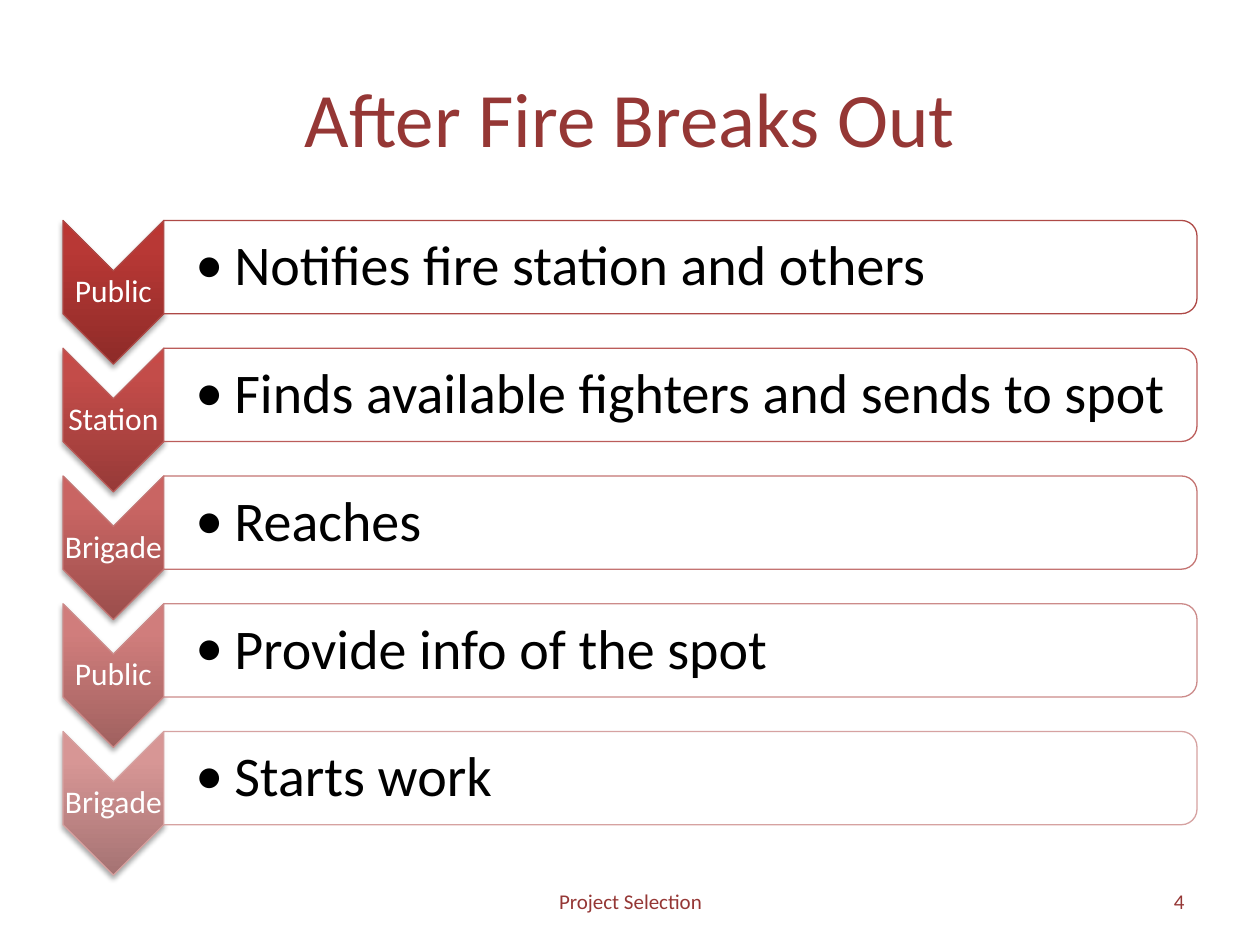
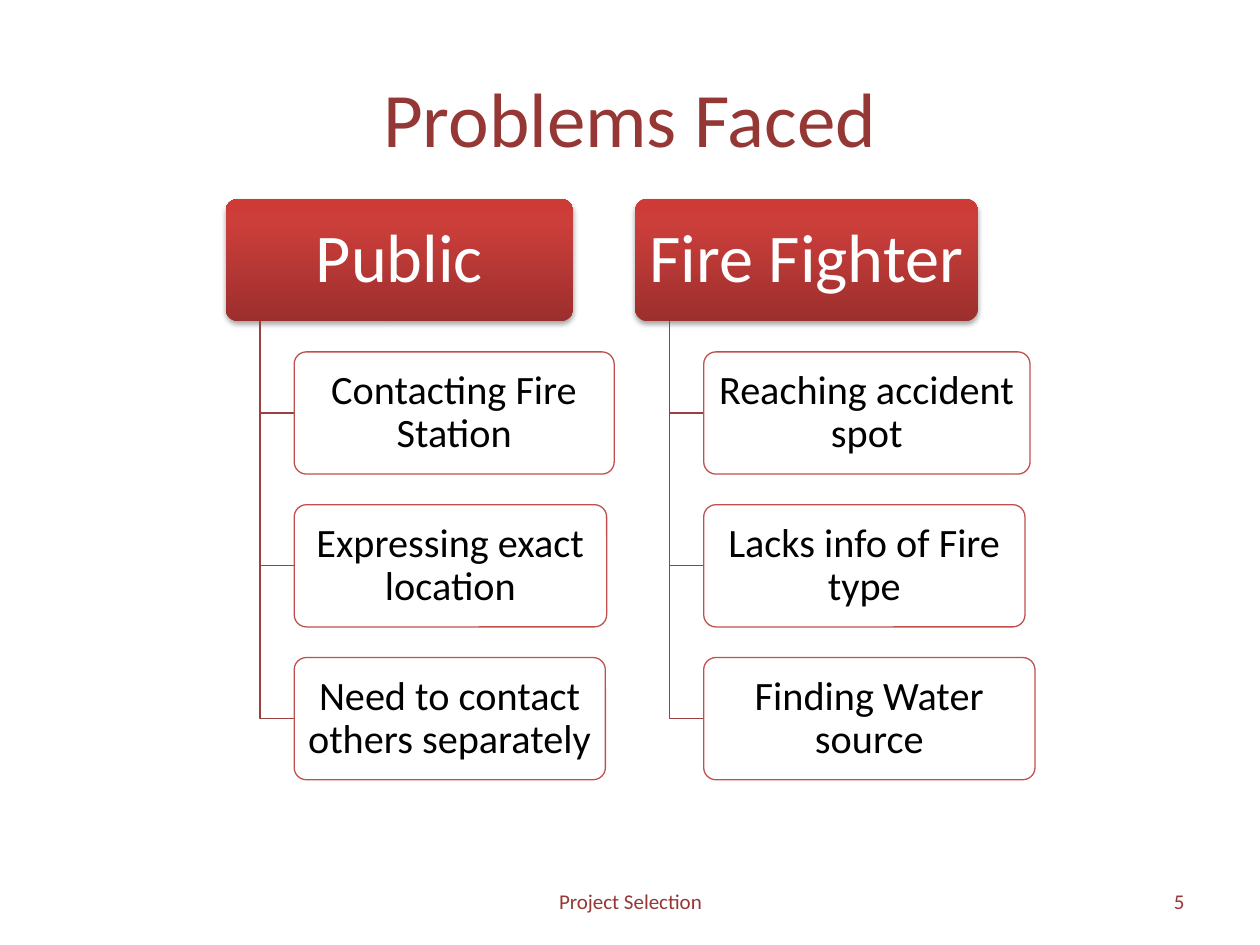
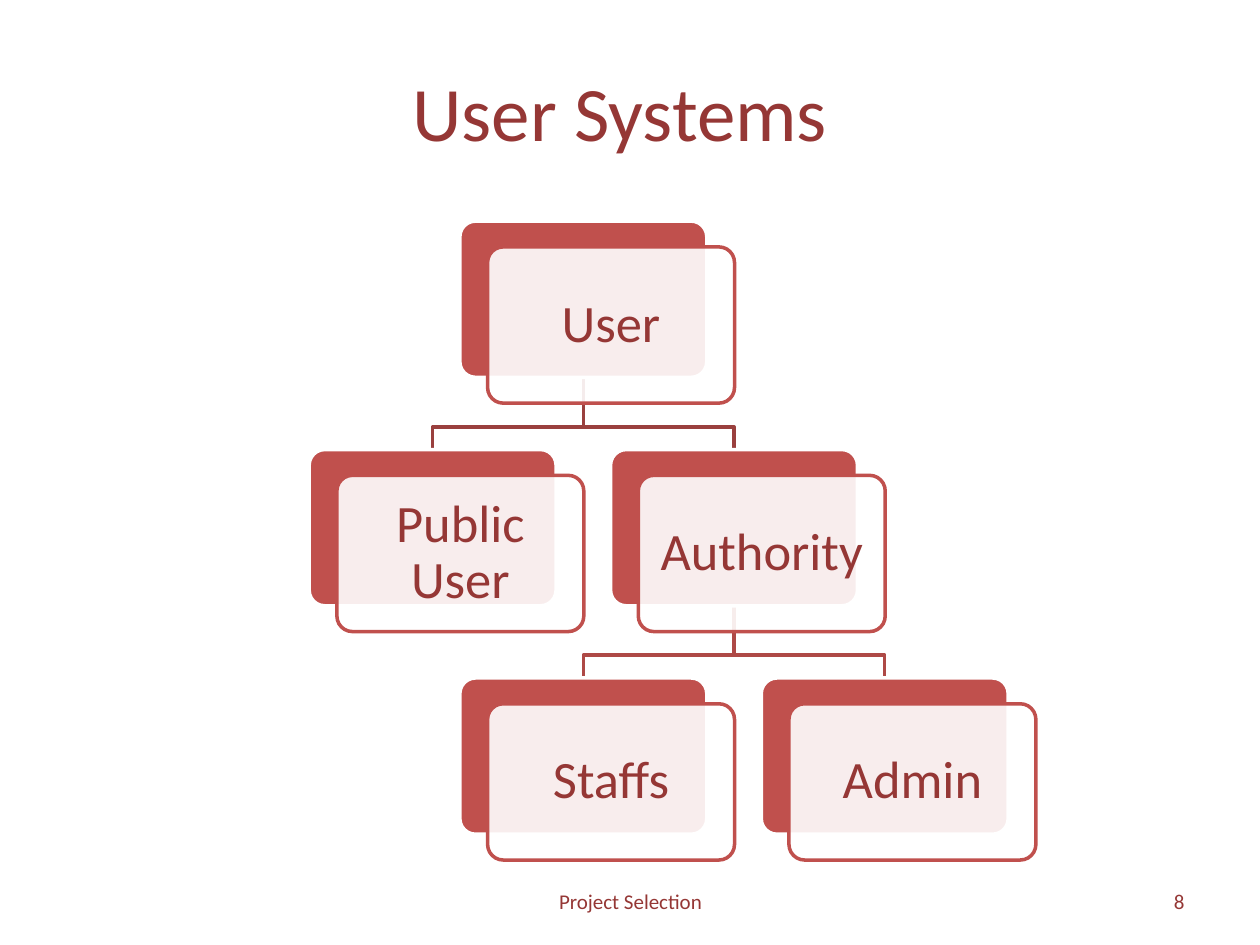
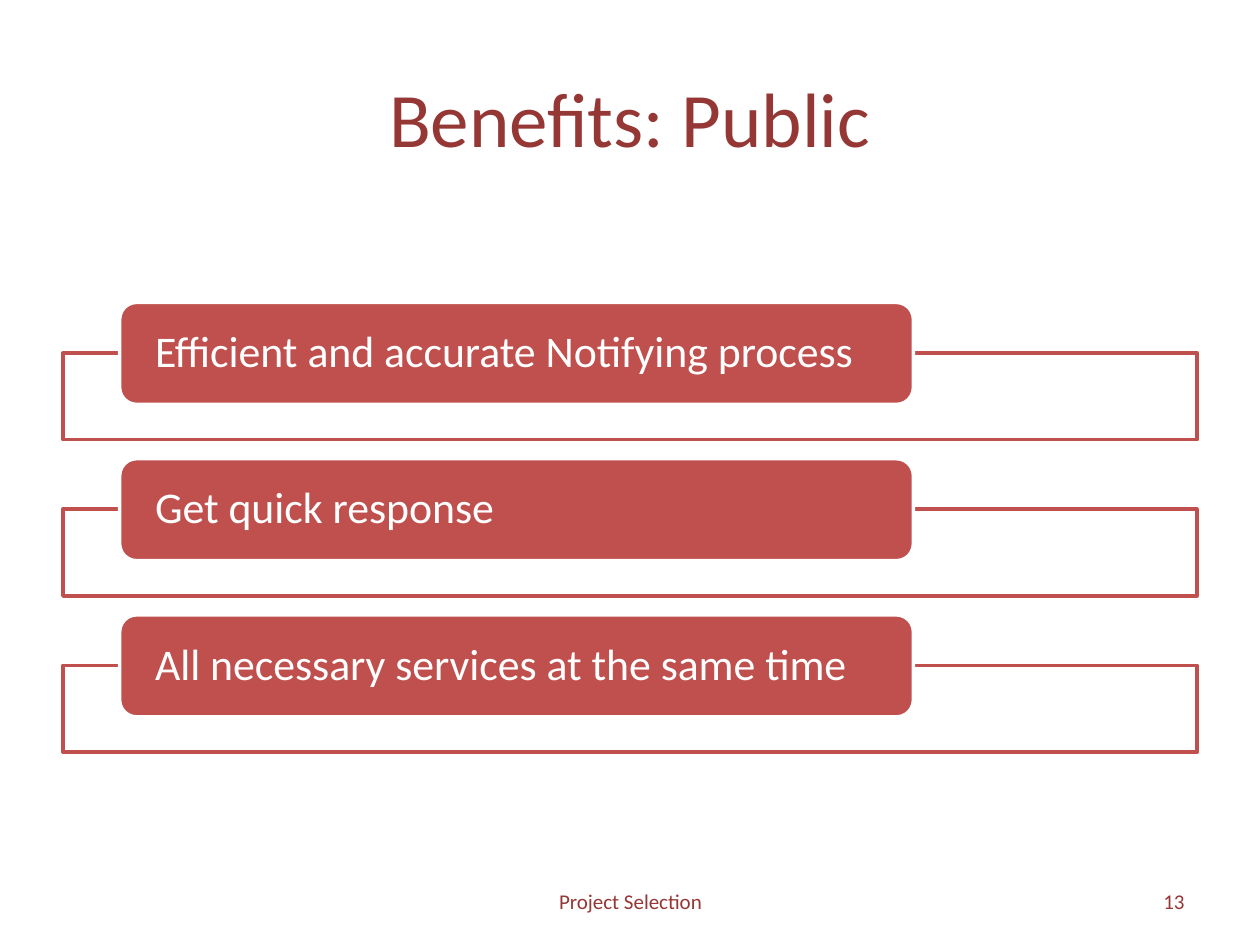
import pptx
import pptx.dml.color
import pptx.enum.shapes
import pptx.enum.text
import pptx.oxml
import pptx.oxml.ns
import pptx.util
from lxml import etree

SHAPE = pptx.enum.shapes.MSO_SHAPE
ALIGN = pptx.enum.text.PP_ALIGN
MIDDLE = pptx.enum.text.MSO_ANCHOR.MIDDLE
qn = pptx.oxml.ns.qn

# The slide is a grid of square cells; every length below counts cells.
COLUMNS, ROWS = 10, 7.5
CELL = pptx.util.Inches(1)

FONT = "Calibri"
DARK_RED = "953735"
RED = "C0504D"
LINK_RED = "9A403E"
LINK_RED_DEEP = "AE4946"
WHITE = "FFFFFF"
BLACK = "000000"
HEADING_SHADES = ("9C2F2D", "CB3E3A", "CE3B37")
GLASS = 90  # opacity of the white panels, in percent


def grid(cells):
    """Turn a count of grid cells into a length."""
    return pptx.util.Emu(round(cells * CELL))


def rgb(hex_string):
    """Turn a hex string into a colour."""
    return pptx.dml.color.RGBColor.from_string(hex_string)


def add_run(paragraph, words, size, color):
    """Add one formatted run to a paragraph."""
    run = paragraph.add_run()
    run.text = words
    run.font.name = FONT
    run.font.size = pptx.util.Pt(size)
    run.font.color.rgb = rgb(color)


def add_text(slide, box, words, size, color, align=ALIGN.CENTER,
             insets=(0.1, 0.05, 0.1, 0.05), spacing=None):
    """Add a wrapped, vertically centred text box and return its paragraph.

    The insets run left, top, right, bottom.
    """
    frame = slide.shapes.add_textbox(*map(grid, box)).text_frame
    frame.word_wrap = True
    frame.vertical_anchor = MIDDLE
    (frame.margin_left, frame.margin_top,
     frame.margin_right, frame.margin_bottom) = map(grid, insets)
    paragraph = frame.paragraphs[0]
    paragraph.alignment = align
    paragraph.line_spacing = spacing
    add_run(paragraph, words, size, color)
    return paragraph


def set_bullet(paragraph, indent):
    """Give a paragraph a round bullet with a hanging indent."""
    paragraph.level = 1
    properties = paragraph._p.get_or_add_pPr()
    properties.set("marL", str(grid(indent)))
    properties.set("indent", str(-grid(indent)))
    etree.SubElement(properties, qn("a:buFont")).set("typeface", FONT)
    etree.SubElement(properties, qn("a:buChar")).set("char", "•")


def set_line(shape, color, width):
    """Set an outline, or remove it when there is no colour."""
    if color is None:
        shape.line.fill.background()
    else:
        shape.line.color.rgb = rgb(color)
        shape.line.width = pptx.util.Pt(width)


def add_panel(slide, preset, box, fill=WHITE, opacity=100, line=None,
              width=0.75, corner=None, turned=False):
    """Add a preset shape; a turned one fills its box after a quarter turn."""
    left, top, wide, high = box
    if turned:
        left, top = left + (wide - high) / 2, top + (high - wide) / 2
        wide, high = high, wide
    panel = slide.shapes.add_shape(preset, *map(grid, (left, top, wide, high)))
    panel.rotation = 90 if turned else 0
    panel.shadow.inherit = False
    panel.fill.solid()
    panel.fill.fore_color.rgb = rgb(fill)
    if opacity < 100:
        tint = panel._element.spPr.find(".//" + qn("a:srgbClr"))
        etree.SubElement(tint, qn("a:alpha")).set("val", str(opacity * 1000))
    set_line(panel, line, width)
    if corner is not None:
        panel.adjustments[0] = corner
    return panel


def shade(panel, shades):
    """Give a panel an upward gradient and a soft shadow below it."""
    properties = panel._element.spPr
    stops = "".join(
        f'<a:gs pos="{place * 1000}"><a:srgbClr val="{color}"/></a:gs>'
        for place, color in zip((0, 80, 100), shades))
    gradient = pptx.oxml.parse_xml(
        f'<a:gradFill {pptx.oxml.ns.nsdecls("a")} rotWithShape="0">'
        f'<a:gsLst>{stops}</a:gsLst><a:lin ang="16200000" scaled="0"/>'
        '</a:gradFill>')
    properties.replace(properties.find(qn("a:solidFill")), gradient)
    drop = pptx.oxml.parse_xml(
        f'<a:outerShdw {pptx.oxml.ns.nsdecls("a")} blurRad="39370" '
        'dist="22860" dir="5400000" rotWithShape="0"><a:srgbClr val="000000">'
        '<a:alpha val="35000"/></a:srgbClr></a:outerShdw>')
    properties.find(qn("a:effectLst")).append(drop)


def add_link(slide, points, color, width):
    """Draw an open angled line through the points."""
    corners = [(grid(x), grid(y)) for x, y in points]
    builder = slide.shapes.build_freeform(*corners[0])
    builder.add_line_segments(corners[1:], close=False)
    link = builder.convert_to_shape()
    link.fill.background()
    link.shadow.inherit = False
    set_line(link, color, width)


def start_slide(deck, title, number, title_at=(0.5, 0.3)):
    """Add a slide with its title, footer and page number."""
    slide = deck.slides.add_slide(deck.slide_layouts[5])
    heading = slide.shapes.title
    heading.left, heading.top = map(grid, title_at)
    heading.width, heading.height = grid(9), grid(1.25)
    heading.text_frame.vertical_anchor = MIDDLE
    paragraph = heading.text_frame.paragraphs[0]
    paragraph.alignment = ALIGN.CENTER
    add_run(paragraph, title, 44, DARK_RED)
    add_text(slide, (3.42, 6.95, 3.17, 0.4), "Project Selection", 12, DARK_RED)
    add_text(slide, (7.17, 6.95, 2.33, 0.4), str(number), 12, DARK_RED,
             ALIGN.RIGHT)
    return slide


def add_step(slide, top, actor, action, shades, line):
    """Add one step: a chevron for the actor and a bar for the action."""
    left, actor_wide, bar_wide = 0.5, 0.8, 8.2
    bar_left = left + actor_wide
    chevron = add_panel(slide, SHAPE.CHEVRON, (left, top, actor_wide, 1.14),
                        line=line, turned=True)
    shade(chevron, shades)
    add_text(slide, (left, top + 0.4, actor_wide, 0.34), actor, 18, WHITE,
             insets=(0.01, 0.01, 0.01, 0.01), spacing=0.9)
    add_panel(slide, SHAPE.ROUND_2_SAME_RECTANGLE,
              (bar_left, top, bar_wide, 0.74), opacity=GLASS, line=line,
              turned=True)
    paragraph = add_text(slide, (bar_left, top + 0.04, 8.16, 0.67), action, 32,
                         BLACK, ALIGN.LEFT, (0.25, 0.02, 0.02, 0.02), 0.9)
    set_bullet(paragraph, 0.31)


def build_steps(deck):
    """Build the slide on what follows a fire."""
    slide = start_slide(deck, "After Fire Breaks Out", 4)
    steps = (
        ("Public", "Notifies fire station and others",
         ("8E2B28", "B83835", "BB3632"), "AE4946"),
        ("Station", "Finds available fighters and sends to spot",
         ("973A38", "C34C49", "C74A47"), "BB5C5A"),
        ("Brigade", "Reaches", ("9B4E4C", "C96563", "CC6361"), "C47472"),
        ("Public", "Provide info of the spot",
         ("A0615F", "D07D7C", "D27C7B"), "CC8B8A"),
        ("Brigade", "Starts work", ("A57373", "D79695", "D99594"), "D6A2A1"),
    )
    for row, step in enumerate(steps):
        add_step(slide, 1.75 + row * 1.014, *step)


def add_problem_column(slide, left, group, group_wide, problems):
    """Add a group heading with its problems hanging below it."""
    top, high, pitch = 1.58, 0.97, 1.213
    edge = 0.03
    stem, item_left = left + 0.275, left + 0.545
    heading = add_panel(slide, SHAPE.ROUNDED_RECTANGLE,
                        (left, top, group_wide, high), corner=0.1)
    shade(heading, HEADING_SHADES)
    add_text(slide, (left + edge, top + edge, group_wide - 2 * edge,
                     high - 2 * edge),
             group, 39, WHITE, insets=(0.08, 0.05, 0.08, 0.05), spacing=0.9)
    for row, (problem, wide) in enumerate(problems, start=1):
        item_top = top + row * pitch
        middle = item_top + high / 2
        add_link(slide, ((stem, top + high), (stem, middle),
                         (item_left, middle)), LINK_RED, 0.75)
        add_panel(slide, SHAPE.ROUNDED_RECTANGLE,
                  (item_left, item_top, wide, high), opacity=GLASS, line=RED,
                  corner=0.1)
        add_text(slide, (item_left + edge, item_top + edge, wide - 2 * edge,
                         high - 2 * edge),
                 problem, 23, BLACK, insets=(0.05, 0.03, 0.05, 0.03),
                 spacing=0.9)


def build_problems(deck):
    """Build the slide on problems of both groups."""
    slide = start_slide(deck, "Problems Faced", 5)
    add_problem_column(slide, 1.79, "Public", 2.76, (
        ("Contacting Fire Station", 2.54),
        ("Expressing exact location", 2.48),
        ("Need to contact others separately", 2.47)))
    add_problem_column(slide, 5.04, "Fire Fighter", 2.72, (
        ("Reaching accident spot", 2.59),
        ("Lacks info of Fire type", 2.55),
        ("Finding Water source", 2.63)))


def build_users(deck):
    """Build the tree of user kinds."""
    slide = start_slide(deck, "User Systems", 8, (0.42, 0.25))
    wide, high = 1.96, 1.24
    spots = {"User": (0, 0), "Public User": (-1, 1), "Authority": (1, 1),
             "Staffs": (0, 2), "Admin": (2, 2)}
    links = (("Authority", "Admin", LINK_RED_DEEP),
             ("Authority", "Staffs", LINK_RED_DEEP),
             ("User", "Authority", LINK_RED),
             ("User", "Public User", LINK_RED))

    def corner_of(user):
        """Return the top left corner of a user's card."""
        column, row = spots[user]
        return 3.65 + column * 1.196, 1.755 + row * 1.813

    for parent, child, color in links:
        parent_left, parent_top = corner_of(parent)
        child_left, child_top = corner_of(child)
        start, end = parent_left + wide / 2, child_left + wide / 2
        bend = child_top - 0.18
        add_link(slide, ((start, parent_top + high), (start, bend),
                         (end, bend), (end, child_top)), color, 2)
    for user in spots:
        left, top = corner_of(user)
        add_panel(slide, SHAPE.ROUNDED_RECTANGLE, (left, top, wide, high),
                  RED, line=WHITE, width=2, corner=0.1)
        left, top = left + 0.22, top + 0.205
        add_panel(slide, SHAPE.ROUNDED_RECTANGLE, (left, top, wide, high),
                  opacity=GLASS, line=RED, width=2, corner=0.1)
        add_text(slide, (left + 0.04, top + 0.035, 1.88, 1.17), user, 30,
                 DARK_RED, insets=(0.12, 0.12, 0.12, 0.12), spacing=0.9)


def build_benefits(deck):
    """Build the slide on benefits for the public."""
    slide = start_slide(deck, "Benefits: Public", 13)
    benefits = ("Efficient and accurate Notifying process",
                "Get quick response",
                "All necessary services at the same time")
    for row, benefit in enumerate(benefits):
        top = 2.4 + row * 1.24
        add_panel(slide, SHAPE.RECTANGLE, (0.5, top + 0.4, 9, 0.69),
                  opacity=GLASS, line=RED, width=2)
        add_panel(slide, SHAPE.ROUNDED_RECTANGLE, (0.95, top, 6.3, 0.81),
                  RED, line=WHITE, width=2)
        add_text(slide, (0.99, top + 0.04, 6.22, 0.73), benefit, 25, WHITE,
                 ALIGN.LEFT, (0.24, 0, 0.24, 0), 0.9)


def main():
    """Build the deck and save it."""
    deck = pptx.Presentation()
    deck.slide_width, deck.slide_height = grid(COLUMNS), grid(ROWS)
    build_steps(deck)
    build_problems(deck)
    build_users(deck)
    build_benefits(deck)
    deck.save("out.pptx")


main()
